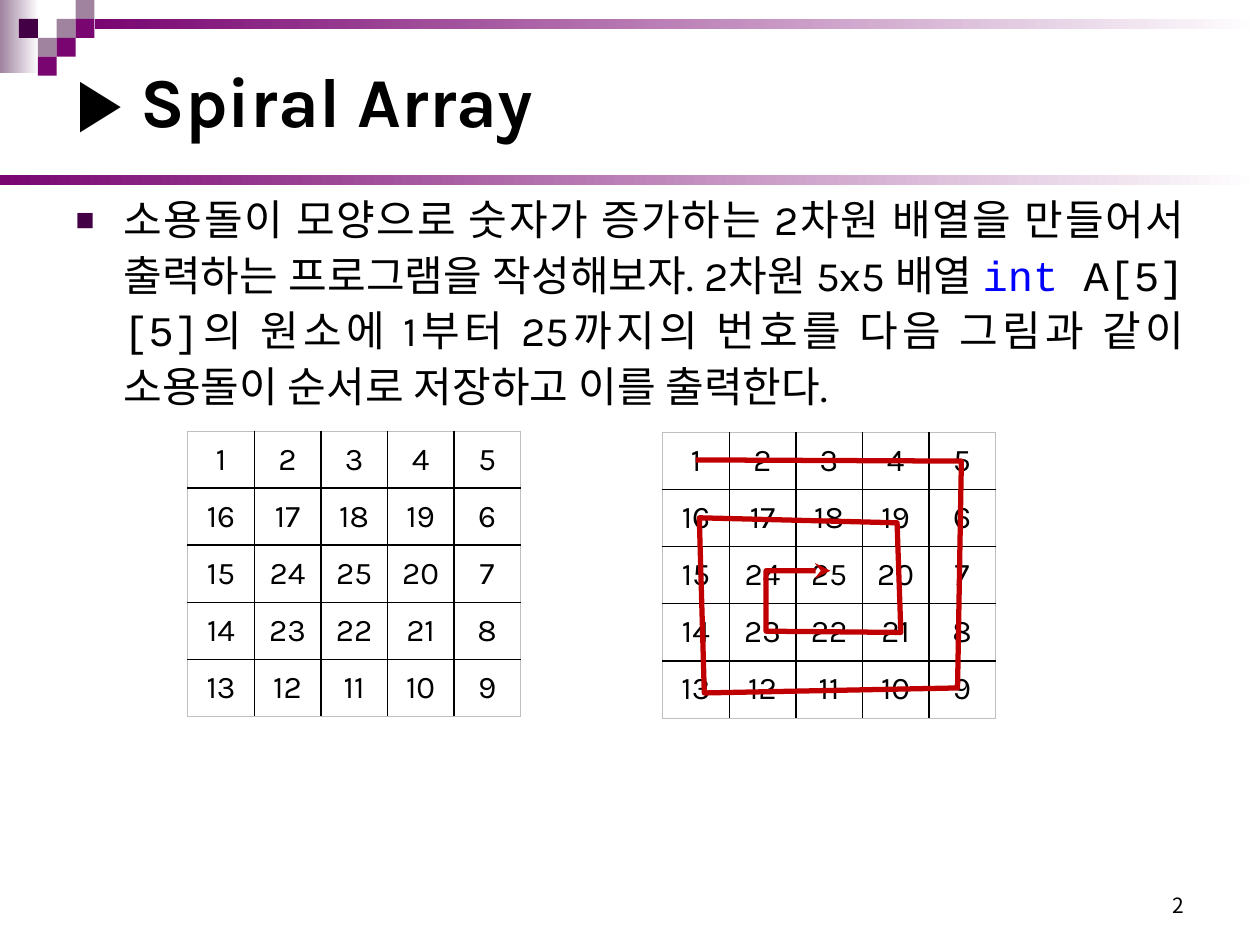
from lxml.etree import SubElement
from pptx import Presentation
from pptx.dml.color import RGBColor
from pptx.enum.shapes import MSO_SHAPE as Shape
from pptx.enum.text import MSO_ANCHOR as Anchor, MSO_AUTO_SIZE as AutoSize, PP_ALIGN as Align
from pptx.oxml import parse_xml
from pptx.oxml.ns import nsdecls, qn
from pptx.util import Inches, Pt

COLORS = {"ink": "000000", "plum": "790571", "mauve": "9F839F", "dark": "440044",
          "paper": "FFFFFF", "keyword": "0000FF", "route": "C00000", "edge": "BFBFBF"}
SANS, MONO, NUMBER = "Karla", "Courier New", "Noto Sans CJK KR"
PIXEL = (1.5, 2)
PIXELS = [(3, 1, "mauve"), (4, 0, "mauve"), (4, 1, "plum"), (2, 2, "mauve"),
          (1, 1, "dark"), (3, 2, "plum"), (2, 3, "plum")]
BANDS = [((0, 0, 3.1, 7.73), "mauve"), ((7.5, 2, 92.5, 1.07), "plum"),
         ((0, 18.53, 100, 1.07), "plum")]
TASK = [("소용돌이 모양으로 숫자가 증가하는 2차원 배열을 만들어서 출력하는 프로그램을 "
         "작성해보자. 2차원 5x5 배열 ", SANS, "ink"),
        ("int ", MONO, "keyword"), ("A[5][5]", MONO, "ink"),
        ("의 원소에 1부터 25까지의 번호를 다음 그림과 같이 소용돌이 순서로 저장하고 "
         "이를 출력한다.", SANS, "ink")]
SPIRAL = [[1, 2, 3, 4, 5], [16, 17, 18, 19, 6], [15, 24, 25, 20, 7],
          [14, 23, 22, 21, 8], [13, 12, 11, 10, 9]]
ROUTE = [(55.2, 48.67), (76.3, 48.8), (76, 72.8), (55.9, 73.33), (55.5, 54.8),
         (71.2, 55.33), (71.5, 66.93), (60.8, 66.8), (60.8, 60.4), (65.9, 60.4)]


def rgb(name):
    return RGBColor.from_string(COLORS[name])


class SlideBuilder:
    """Draws styled elements on one slide, with lengths in percent of its size."""

    def __init__(self, deck):
        self.width, self.height = deck.slide_width, deck.slide_height
        self.slide = deck.slides.add_slide(deck.slide_layouts[1])
        self.shapes = self.slide.shapes

    def point(self, x, y):
        return round(self.width * x / 100), round(self.height * y / 100)

    def box(self, left, top, width, height):
        return *self.point(left, top), *self.point(width, height)

    def block(self, area, color, fade=False):
        block = self.shapes.add_shape(Shape.RECTANGLE, *self.box(*area))
        block.shadow.inherit = False
        block.line.fill.background()
        if fade:
            block.fill.gradient()
            block.fill.gradient_angle = 0
            for stop, name, place in zip(block.fill.gradient_stops, (color, "paper"), (0, 1)):
                stop.color.rgb, stop.position = rgb(name), place
        else:
            block.fill.solid()
            block.fill.fore_color.rgb = rgb(color)

    def add_text(self, paragraph, text, size, face=SANS, color="ink", bold=False):
        run = paragraph.add_run()
        run.text = text
        for key, value in {"size": Pt(size), "name": face, "bold": bold}.items():
            setattr(run.font, key, value)
        run.font.color.rgb = rgb(color)
        SubElement(run.font._element, qn("a:ea")).set("typeface", face)

    def frame(self, holder, area, anchor, align):
        holder.left, holder.top, holder.width, holder.height = self.box(*area)
        text = holder.text_frame
        for key, value in {"word_wrap": True, "auto_size": AutoSize.NONE,
                           "vertical_anchor": anchor}.items():
            setattr(text, key, value)
        text.paragraphs[0].alignment = align
        return text.paragraphs[0]

    def title(self, text, area):
        line = self.frame(self.shapes.title, area, Anchor.MIDDLE, Align.LEFT)
        self.add_text(line, text, 40, bold=True)

    def body(self, pieces, area):
        item = self.frame(self.slide.placeholders[1], area, Anchor.TOP, Align.JUSTIFY)
        item.line_spacing = 1.1
        props = item._p.get_or_add_pPr()
        for key, value in {"marL": 0.38, "indent": -0.38}.items():
            props.set(key, str(Inches(value)))
        for tag in (f'buClr {nsdecls("a")}><a:srgbClr val="{COLORS["dark"]}"/></a:buClr',
                    f'buSzPct {nsdecls("a")} val="75000"/',
                    f'buChar {nsdecls("a")} char="■"/'):
            props.append(parse_xml(f"<a:{tag}>"))
        for text, face, color in pieces:
            self.add_text(item, text, 24, face, color)

    def page_number(self, text, area):
        label = self.shapes.add_textbox(*self.box(*area))
        self.add_text(self.frame(label, area, Anchor.BOTTOM, Align.RIGHT), text, 12, NUMBER)

    def border(self, cell, side, outer):
        color, width = ("edge", 0.5) if outer else ("ink", 1)
        cell._tc.get_or_add_tcPr().append(parse_xml(
            f'<a:ln{side} {nsdecls("a")} w="{Pt(width)}"><a:solidFill>'
            f'<a:srgbClr val="{COLORS[color]}"/></a:solidFill></a:ln{side}>'))

    def number_grid(self, rows, left, top, column=5.28, row=5.47):
        size = len(rows)
        last = size - 1
        area = self.box(left, top, column * size, row * size)
        grid = self.shapes.add_table(size, size, *area).table
        grid.first_row = grid.horz_banding = False
        for r, values in enumerate(rows):
            for c, value in enumerate(values):
                cell = grid.cell(r, c)
                for side, outer in zip("LRTB", (c == 0, c == last, r == 0, r == last)):
                    self.border(cell, side, outer)
                cell.fill.background()
                cell.vertical_anchor = Anchor.MIDDLE
                for edge in ("left", "right", "top", "bottom"):
                    setattr(cell, f"margin_{edge}", Inches(0.08))
                line = cell.text_frame.paragraphs[0]
                line.alignment = Align.CENTER
                self.add_text(line, str(value), 18)

    def arrow_route(self, points):
        start, *stops = [self.point(*spot) for spot in points]
        pen = self.shapes.build_freeform(*start)
        pen.add_line_segments(stops, close=False)
        route = pen.convert_to_shape()
        route.shadow.inherit = False
        route.fill.background()
        route.line.color.rgb, route.line.width = rgb("route"), Pt(3)
        SubElement(route.line._get_or_add_ln(), qn("a:tailEnd")).set("type", "stealth")


def main():
    deck = Presentation()
    deck.slide_width, deck.slide_height = Inches(10), Inches(7.5)
    page = SlideBuilder(deck)
    for area, color in BANDS:
        page.block(area, color, fade=True)
    for column, row, color in PIXELS:
        page.block((column * PIXEL[0], row * PIXEL[1], *PIXEL), color)
    page.title("▶ Spiral Array", (5.1, 3.73, 90, 13.6))
    page.body(TASK, (5, 19.33, 90, 70.4))
    page.page_number("2", (71.7, 91.07, 23.3, 6.67))
    for left, top in ((14.9, 45.6), (52.6, 45.73)):
        page.number_grid(SPIRAL, left, top)
    page.arrow_route(ROUTE)
    deck.save("out.pptx")


if __name__ == "__main__":
    main()
